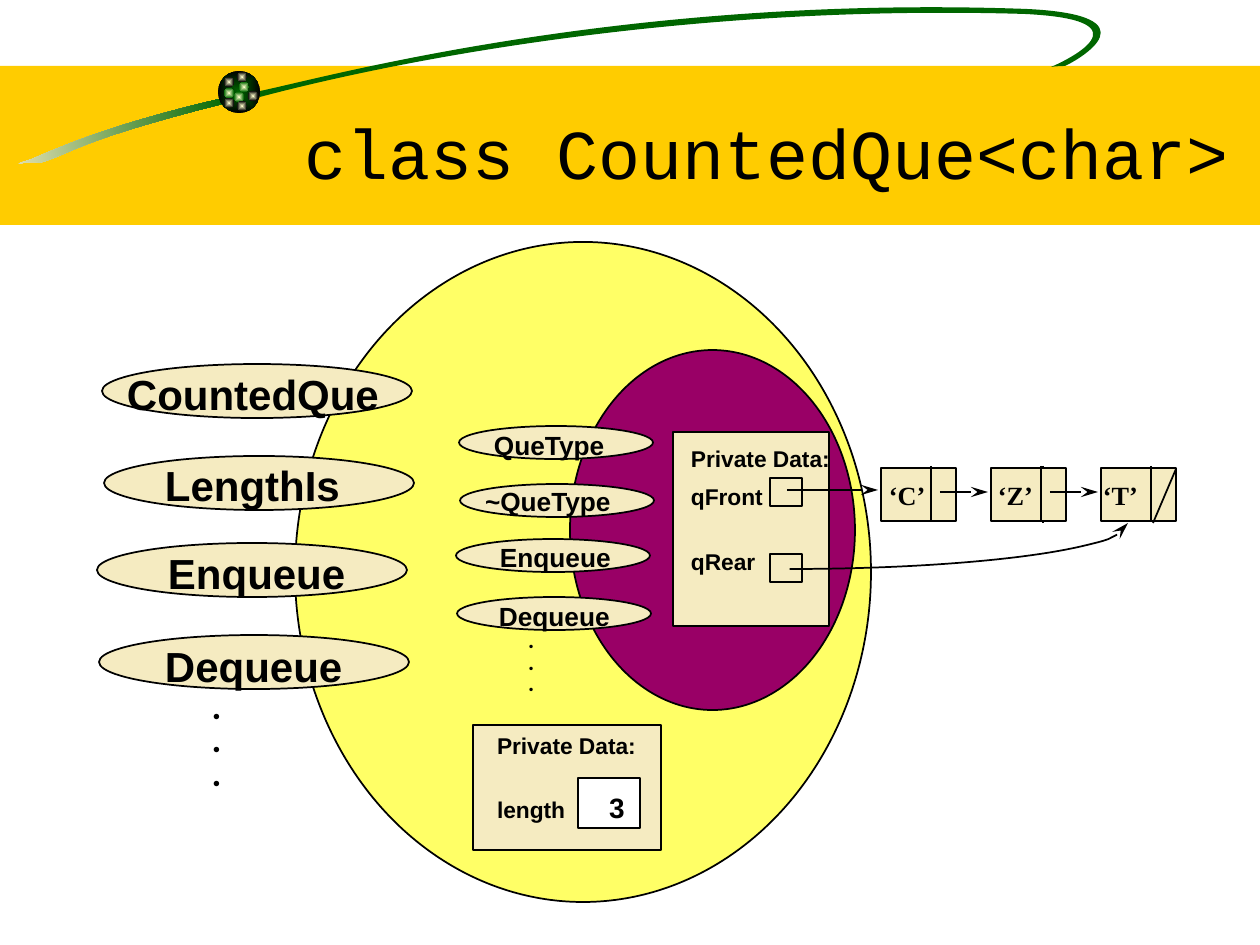
from dataclasses import dataclass
from math import cos, radians, sin
from typing import Optional

from lxml.etree import SubElement
from pptx import Presentation
from pptx.dml.color import RGBColor
from pptx.enum.shapes import MSO_CONNECTOR, MSO_SHAPE as Preset
from pptx.enum.text import MSO_ANCHOR, MSO_AUTO_SIZE, PP_ALIGN
from pptx.oxml.ns import qn
from pptx.util import Emu, Pt

BLACK = RGBColor(0x00, 0x00, 0x00)
WHITE = RGBColor(0xFF, 0xFF, 0xFF)
GOLD = RGBColor(0xFF, 0xCC, 0x00)
GREEN = RGBColor(0x00, 0x66, 0x00)
CREAM = RGBColor(0xF5, 0xEB, 0xC1)
IVORY = RGBColor(0xFF, 0xFF, 0xCC)
YELLOW = RGBColor(0xFF, 0xFF, 0x66)
PURPLE = RGBColor(0x99, 0x00, 0x66)
ARROW = {"type": "stealth", "w": "med", "len": "lg"}
TILT = -8.5  # degrees, for the swoosh


def px(length: float) -> Emu:
    return Emu(round(length * 914400 / 126))


@dataclass
class Line:
    text: str
    size: int
    font: str = "Arial"
    bold: bool = True
    before: float = 0  # points
    indent: int = 0  # px
    tab: int = 0  # px
    last_size: Optional[int] = None  # size of the part after the tab


@dataclass
class Operation:
    name: str
    left: int
    top: int
    text_left: int
    text_top: int
    text_width: int


prs = Presentation()
prs.slide_width, prs.slide_height = px(1260), px(945)
slide = prs.slides.add_slide(prs.slide_layouts[5])
shapes = slide.shapes


def add_preset(kind, left: int, top: int, width: int, height: int,
               fill: Optional[RGBColor], outlined: bool = True):
    shape = shapes.add_shape(kind, px(left), px(top), px(width), px(height))
    shape.shadow.inherit = False
    if fill is None:
        shape.fill.background()
    else:
        shape.fill.solid()
        shape.fill.fore_color.rgb = fill
    if outlined:
        shape.line.color.rgb = BLACK
        shape.line.width = Pt(1)
    else:
        shape.line.fill.background()
    return shape


def set_gradient(shape, start: RGBColor, end: RGBColor, from_centre: bool = False) -> None:
    shape.fill.gradient()
    shape.fill.gradient_angle = 0
    for stop, colour in zip(shape.fill.gradient_stops, (start, end)):
        stop.color.rgb = colour
    if from_centre:
        grad = shape._element.spPr.find(qn("a:gradFill"))
        grad.remove(grad.find(qn("a:lin")))
        rect_path = SubElement(grad, qn("a:path"), path="rect")
        SubElement(rect_path, qn("a:fillToRect"), dict.fromkeys("ltrb", "50000"))


def add_line(x1: int, y1: int, x2: int, y2: int, arrow: bool = False) -> None:
    line = shapes.add_connector(MSO_CONNECTOR.STRAIGHT, px(x1), px(y1), px(x2), px(y2))
    line.line.color.rgb = BLACK
    line.line.width = Pt(1)
    if arrow:
        SubElement(line.line._get_or_add_ln(), qn("a:tailEnd"), ARROW)
    SubElement(line._element.spPr, qn("a:effectLst"))


def turn(x: float, y: float, degrees: float) -> tuple:
    c, s = cos(radians(degrees)), sin(radians(degrees))
    return x * c - y * s, x * s + y * c


def add_swoosh(points: list):
    """Draw a tilted outline: a start, then two controls and an end per curve."""
    level = [turn(px(x), px(y), -TILT) for x, y in points]
    builder = shapes.build_freeform(*level[0], scale=1.0)
    builder.add_line_segments(level[1:], close=True)
    swoosh = builder.convert_to_shape()
    # Group every three straight steps into one cubic curve
    steps = list(swoosh._element.iter(qn("a:lnTo")))
    for first in range(0, len(steps), 3):
        curve = steps[first].makeelement(qn("a:cubicBezTo"))
        steps[first].addprevious(curve)
        for step in steps[first:first + 3]:
            curve.append(step[0])
            step.getparent().remove(step)
    # Tilt about the centre, keeping the points in place
    mid_x, mid_y = swoosh.left + swoosh.width / 2, swoosh.top + swoosh.height / 2
    new_x, new_y = turn(mid_x, mid_y, TILT)
    swoosh.left = round(swoosh.left + new_x - mid_x)
    swoosh.top = round(swoosh.top + new_y - mid_y)
    swoosh.rotation = TILT
    swoosh.shadow.inherit = False
    swoosh.fill.solid()
    swoosh.fill.fore_color.rgb = GREEN
    swoosh.line.fill.background()
    return swoosh


def add_text(left: int, top: int, width: int, height: int, lines: list, inset: int = 8) -> None:
    box = shapes.add_textbox(px(left), px(top), px(width), px(height))
    frame = box.text_frame
    frame_format = {
        "word_wrap": False, "auto_size": MSO_AUTO_SIZE.SHAPE_TO_FIT_TEXT,
        "margin_left": px(inset), "margin_right": px(inset),
        "margin_top": px(inset // 2), "margin_bottom": px(inset // 2),
    }
    for name, value in frame_format.items():
        setattr(frame, name, value)
    for i, line in enumerate(lines):
        para = frame.paragraphs[0] if i == 0 else frame.add_paragraph()
        para.space_before = Pt(line.before)
        props = para._p.get_or_add_pPr()
        if line.indent:
            props.set("marL", str(px(line.indent)))
        if line.tab:
            tabs = SubElement(props, qn("a:tabLst"))
            SubElement(tabs, qn("a:tab"), pos=str(px(line.tab)), algn="l")
        first, tab, last = line.text.partition("\t")
        for part, size in ((first + tab, line.size), (last, line.last_size or line.size)):
            if part:
                run = para.add_run()
                run.text = part
                font_format = {"name": line.font, "size": Pt(size), "bold": line.bold}
                for name, value in font_format.items():
                    setattr(run.font, name, value)
                run.font.color.rgb = BLACK


def add_operations(operations: list, width: int, height: int, text_height: int,
                   size: int, inset: int, dots: Line) -> None:
    for op in operations:
        add_preset(Preset.OVAL, op.left, op.top, width, height, CREAM)
    for op in operations:
        lines = [Line(op.name, size)]
        if op is operations[-1]:
            lines += [dots] * 3
        add_text(op.text_left, op.text_top, op.text_width, text_height, lines, inset)


# Title band with its swoosh and ball
add_preset(Preset.RECTANGLE, 0, 66, 1260, 159, GOLD, outlined=False)
tail = add_swoosh([(224, 98), (115, 123), (62, 146), (32, 159), (1, 169), (33, 159), (39, 163),
                   (72, 154), (72, 142), (226, 103)])
set_gradient(tail, CREAM, GREEN)
add_swoosh([(255, 92), (310, 82), (612, -6), (1026, 9), (1156, 15), (1080, 59), (1065, 66),
            (1065, 66), (1056, 66), (1051, 67), (1063, 62), (1154, 20), (1024, 14),
            (690, 4), (403, 59), (260, 97)])
ball = add_preset(Preset.OVAL, 218, 71, 42, 42, GREEN, outlined=False)
set_gradient(ball, GREEN, BLACK, from_centre=True)
SPARKS = [(239, 82, GREEN), (224, 77, BLACK), (224, 88, GREEN), (234, 92, GREEN),
          (248, 91, BLACK), (237, 101, BLACK), (224, 98, BLACK), (237, 72, BLACK)]
for x, y, rim in SPARKS:
    spark = add_preset(Preset.OVAL, x, y, 10, 10, IVORY, outlined=False)
    set_gradient(spark, IVORY, rim, from_centre=True)

# Title, lifted above the band
title = shapes.title
shapes._spTree.append(title._element)
for side, length in {"left": 231, "top": 42, "width": 1071, "height": 158}.items():
    setattr(title, side, px(length))
title.text_frame.text = "class CountedQue<char>"
title.text_frame.auto_size = MSO_AUTO_SIZE.NONE
title.text_frame.vertical_anchor = MSO_ANCHOR.BOTTOM
heading = title.text_frame.paragraphs[0]
heading.alignment = PP_ALIGN.CENTER
for name, value in {"name": "Courier New", "size": Pt(40), "bold": False}.items():
    setattr(heading.runs[0].font, name, value)
heading.runs[0].font.color.rgb = BLACK

# Derived class around its base class
add_preset(Preset.OVAL, 295, 242, 576, 660, YELLOW)
add_preset(Preset.OVAL, 570, 350, 285, 360, PURPLE)

# Base class operations
add_operations([
    Operation("QueType", 459, 426, 486, 425, 129), Operation("~QueType", 460, 484, 477, 481, 144),
    Operation("Enqueue", 456, 539, 492, 537, 127), Operation("Dequeue", 457, 597, 491, 596, 127),
], 194, 33, 39, 15, 8, Line(".", 10, "Montserrat", indent=30))

# Base class private data
add_preset(Preset.RECTANGLE, 673, 432, 156, 194, CREAM)
for y in (478, 554):
    add_preset(Preset.RECTANGLE, 770, y, 32, 28, CREAM)
add_text(683, 441, 155, 139, [Line("Private Data:", 13), Line("qFront", 13, before=6),
                              Line("qRear", 13, before=21.5)])

# Linked nodes
NODE_X, NODE_STEP, NODE_Y = 881, 110, 468
add_line(1043, 466, 1043, 523)
for i in range(3):
    x = NODE_X + i * NODE_STEP
    add_preset(Preset.RECTANGLE, x, NODE_Y, 75, 53, CREAM)
    add_line(x + 50, NODE_Y - 2, x + 50, NODE_Y + 54)
    if i < 2:
        add_line(x + 59, 492, x + 107, 492, arrow=True)
add_line(1176, 469, 1153, 523)
add_line(787, 490, 878, 490, arrow=True)
add_text(881, 475, 66, 39, [Line("‘C’", 15, "Times New Roman")])
add_text(990, 475, 159, 39, [Line("‘Z’\t‘T’", 15, "Times New Roman", tab=105)])

# Curve from qRear to the last node
rear_link = add_preset(Preset.ARC, 451, 477, 677, 92, None)
rear_link.adjustments[0], rear_link.adjustments[1] = 0, 54  # 0 to 90 degrees
SubElement(rear_link.line._get_or_add_ln(), qn("a:headEnd"), ARROW)

# Derived class operations
add_operations([
    Operation("CountedQue", 102, 364, 115, 363, 277), Operation("LengthIs", 104, 456, 153, 454, 200),
    Operation("Enqueue", 97, 543, 156, 542, 203), Operation("Dequeue", 99, 635, 153, 635, 203),
], 310, 54, 63, 24, 12, Line(".", 16, "Montserrat", indent=48))

# Derived class private data
add_preset(Preset.RECTANGLE, 473, 725, 188, 125, CREAM)
add_preset(Preset.RECTANGLE, 578, 778, 62, 50, WHITE)
add_text(489, 728, 155, 126, [Line("Private Data:", 13),
                              Line("length\t3", 13, before=18, tab=112, last_size=16)])

prs.save("out.pptx")
